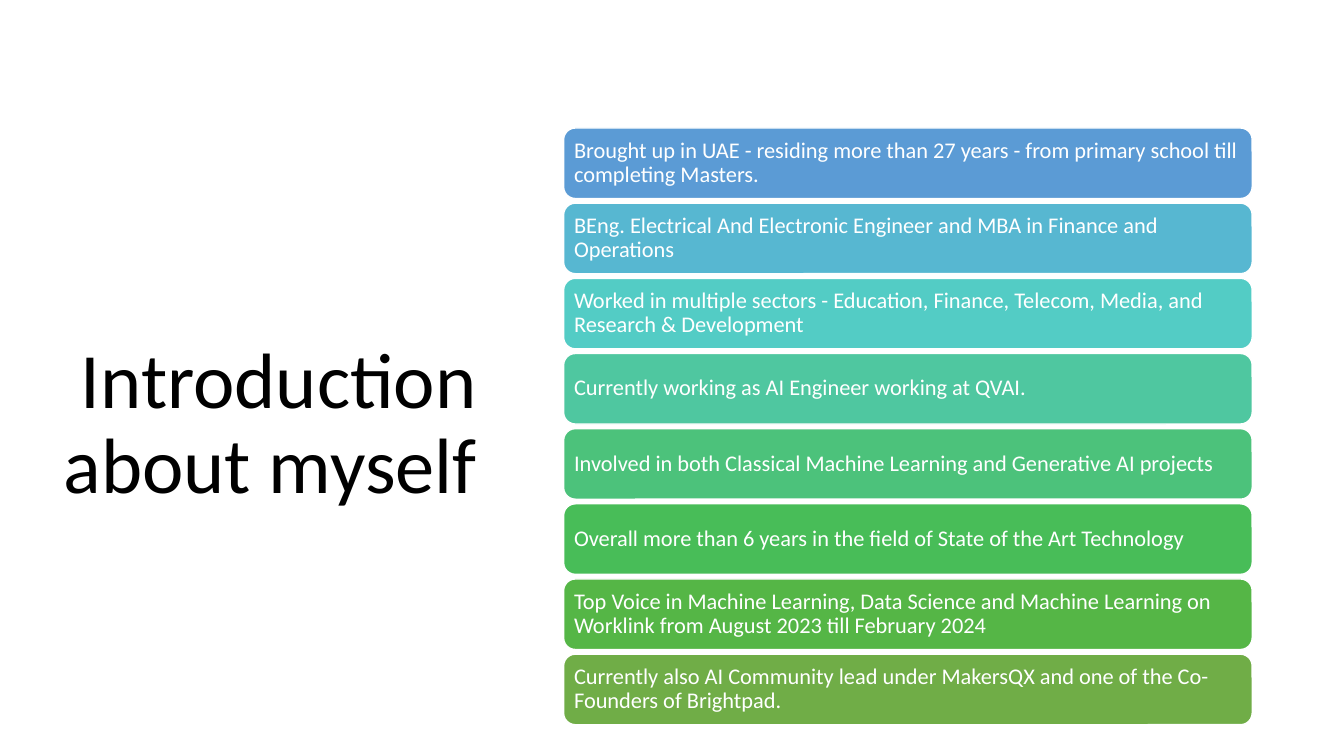
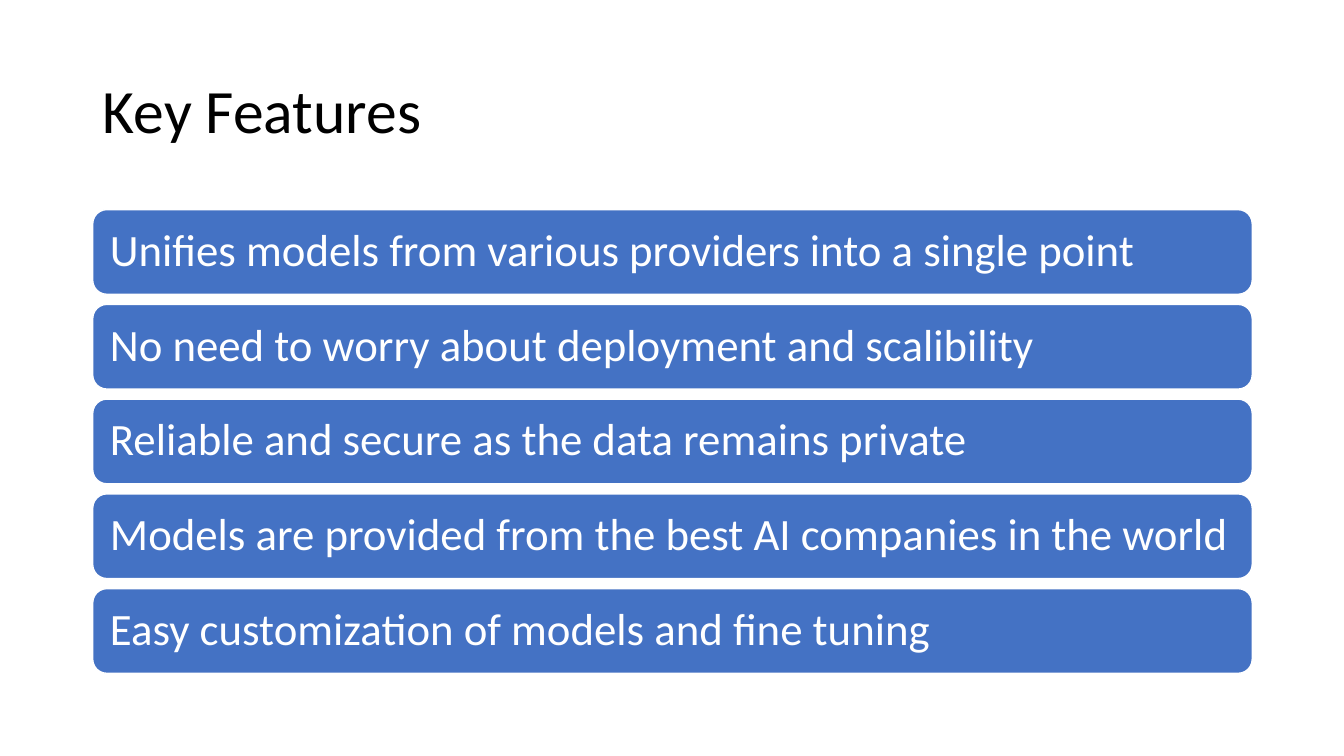
"""Build two slides, each with a title and a stack of rounded bars."""
from dataclasses import dataclass

from pptx import Presentation
from pptx.dml.color import RGBColor
from pptx.enum import shapes, text
from pptx.util import Inches, Pt


@dataclass(frozen=True)
class Theme:
    font: str = "Calibri"
    ink: str = "000000"
    paper: str = "FFFFFF"
    blue: str = "4472C4"
    spectrum: tuple = ("5B9BD5", "57B7D1", "53CCC5", "4FC7A0",
                       "4CC27B", "48BD58", "55B646", "70AD47")
    title_large: int = 56
    title: int = 44
    bar_small: int = 16
    bar_large: int = 32
    line_spacing: float = 0.9


THEME = Theme()

SLIDES = [
    {
        "title": "Introduction about myself",
        "title_box": (0.52, 1.17, 4.31, 6.11),
        "title_size": THEME.title_large,
        "title_align": text.PP_ALIGN.RIGHT,
        "bars": [
            "Brought up in UAE - residing more than 27 years - from primary school till completing Masters.",
            "BEng. Electrical And Electronic Engineer and MBA in Finance and Operations",
            "Worked in multiple sectors - Education, Finance, Telecom, Media, and Research & Development",
            "Currently working as AI Engineer working at QVAI.",
            "Involved in both Classical Machine Learning and Generative AI projects",
            "Overall more than 6 years in the field of State of the Art Technology",
            "Top Voice in Machine Learning, Data Science and Machine Learning on "
            "Worklink from August 2023 till February 2024",
            "Currently also AI Community lead under MakersQX and one of the Co-Founders of Brightpad.",
        ],
        "stack": (5.59, 1.27, 6.83, 5.92),
        "bar_height": 0.7,
        "bar_inset": 0.07,
        "bar_size": THEME.bar_small,
        "fills": THEME.spectrum,
    },
    {
        "title": "Key Features",
        "title_box": (0.92, 0.4, 11.5, 1.45),
        "title_size": THEME.title,
        "title_align": text.PP_ALIGN.LEFT,
        "bars": [
            "Unifies models from various providers into a single point",
            "No need to worry about deployment and scalibility",
            "Reliable and secure as the data remains private",
            "Models are provided from the best AI companies in the world",
            "Easy customization of models and fine tuning",
        ],
        "stack": (0.92, 2.08, 11.5, 4.6),
        "bar_height": 0.84,
        "bar_inset": 0.13,
        "bar_size": THEME.bar_large,
        "fills": (THEME.blue,),
    },
]


def write(shape, words, size, color, align):
    frame = shape.text_frame
    frame.word_wrap = True
    frame.auto_size = text.MSO_AUTO_SIZE.NONE
    frame.vertical_anchor = text.MSO_ANCHOR.MIDDLE
    paragraph = frame.paragraphs[0]
    paragraph.alignment = align
    paragraph.line_spacing = THEME.line_spacing
    run = paragraph.add_run()
    run.text = words
    run.font.name = THEME.font
    run.font.size = Pt(size)
    run.font.color.rgb = RGBColor.from_string(color)


def place_title(slide, content):
    title = slide.shapes.title
    title.left, title.top, title.width, title.height = map(Inches, content["title_box"])
    write(title, content["title"], content["title_size"], THEME.ink, content["title_align"])


def add_bar(slide, box, words, fill, inset, size):
    bar = slide.shapes.add_shape(shapes.MSO_SHAPE.ROUNDED_RECTANGLE, *map(Inches, box))
    bar.shadow.inherit = False
    bar.fill.solid()
    bar.fill.fore_color.rgb = RGBColor.from_string(fill)
    bar.line.color.rgb = RGBColor.from_string(THEME.paper)
    bar.line.width = Pt(1)
    frame = bar.text_frame
    frame.margin_left = frame.margin_right = Inches(inset)
    frame.margin_top = frame.margin_bottom = Inches(inset)
    write(bar, words, size, THEME.paper, text.PP_ALIGN.LEFT)


def add_stack(slide, content):
    left, top, width, total = content["stack"]
    height, fills = content["bar_height"], content["fills"]
    pitch = (total - height) / (len(content["bars"]) - 1)
    for index, words in enumerate(content["bars"]):
        box = (left, top + index * pitch, width, height)
        add_bar(slide, box, words, fills[index % len(fills)],
                content["bar_inset"], content["bar_size"])


def main():
    presentation = Presentation()
    presentation.slide_width, presentation.slide_height = Inches(13.33), Inches(7.5)
    title_only = presentation.slide_layouts.get_by_name("Title Only")
    for content in SLIDES:
        slide = presentation.slides.add_slide(title_only)
        place_title(slide, content)
        add_stack(slide, content)
    presentation.save("out.pptx")


if __name__ == "__main__":
    main()
